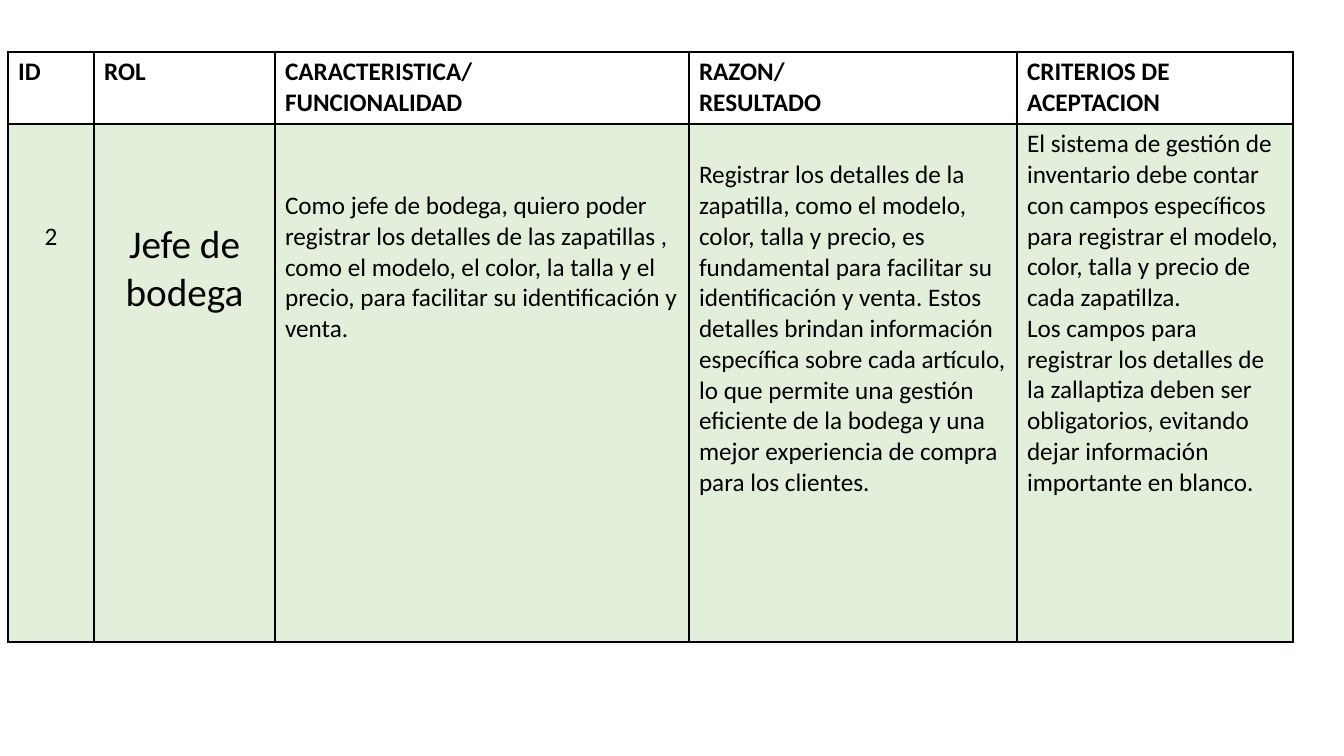
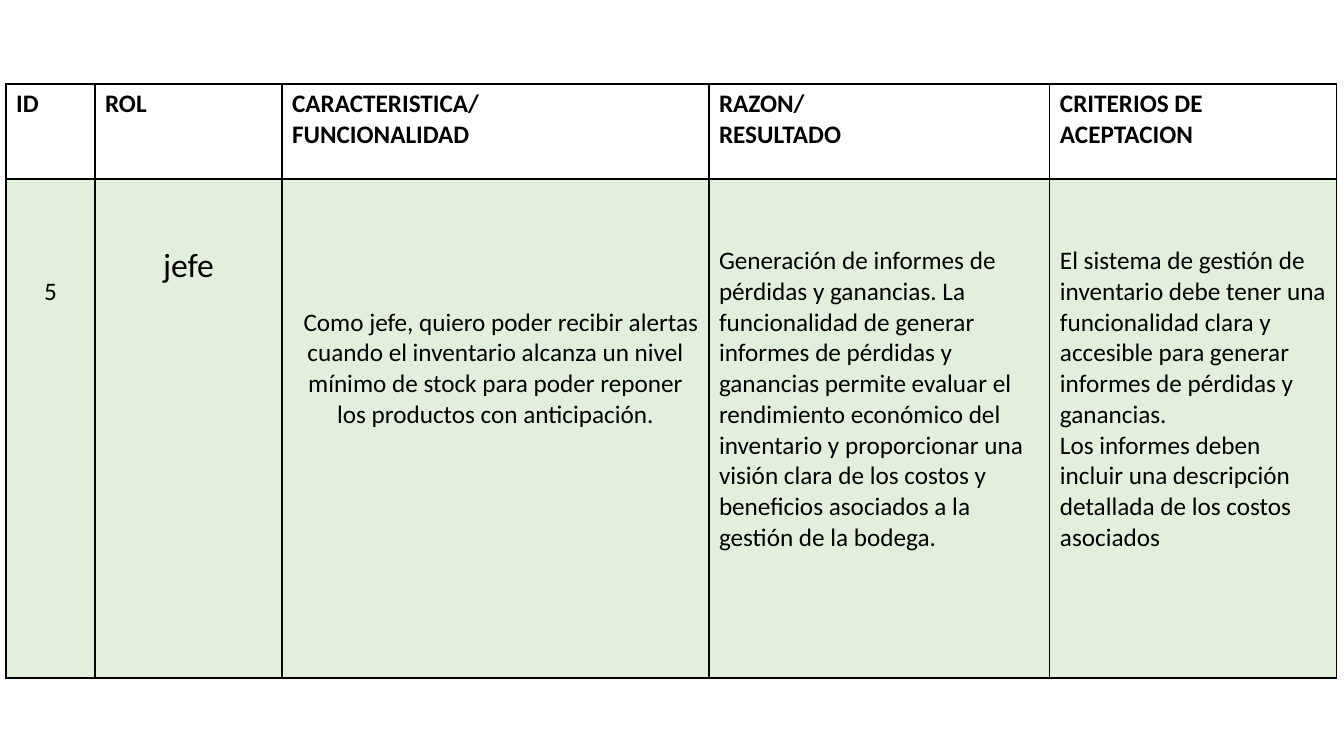
from lxml import etree
from pptx import Presentation
from pptx import util as u
from pptx.dml.color import RGBColor
from pptx.enum import text
from pptx.oxml import ns

PX = 914400 / 100.8
BLACK = RGBColor(0x00, 0x00, 0x00)
PALE_GREEN = RGBColor(0xE2, 0xEF, 0xDA)
FONT = "Calibri"
BODY_SIZE = 18
LINE_HEIGHT = 30.8
CELL_TOP = 5
LEFT, CENTER = text.PP_ALIGN.LEFT, text.PP_ALIGN.CENTER

HEADERS = [
    ["ID"],
    ["ROL"],
    ["CARACTERISTICA/", "FUNCIONALIDAD"],
    ["RAZON/", "RESULTADO"],
    ["CRITERIOS DE ACEPTACION"],
]

STORIES = [
    {
        "origin": (8, 52),
        "columns": [86, 181, 414, 328, 276],
        "rows": [72, 518],
        "cells": [
            {"lines": ["2"], "skip": 3, "align": CENTER},
            {"lines": ["Jefe de bodega"], "skip": 3, "align": CENTER, "size": 28},
            {"lines": ["Como jefe de bodega, quiero poder registrar los detalles de las zapatillas , "
                       "como el modelo, el color, la talla y el precio, para facilitar su "
                       "identificación y venta."], "skip": 2},
            {"lines": ["Registrar los detalles de la zapatilla, como el modelo, color, talla y precio, "
                       "es fundamental para facilitar su identificación y venta. Estos detalles "
                       "brindan información específica sobre cada artículo, lo que permite una "
                       "gestión eficiente de la bodega y una mejor experiencia de compra para los "
                       "clientes."], "skip": 1},
            {"lines": ["El sistema de gestión de inventario debe contar con campos específicos para "
                       "registrar el modelo, color, talla y precio de cada zapatillza.",
                       "Los campos para registrar los detalles de la zallaptiza deben ser "
                       "obligatorios, evitando dejar información importante en blanco."]},
        ],
    },
    {
        "origin": (6, 84),
        "columns": [89, 187, 427, 341, 287],
        "rows": [95, 499],
        "cells": [
            {"lines": ["5"], "skip": 3, "align": CENTER},
            {"lines": ["jefe"], "skip": 2, "align": CENTER, "size": 24},
            {"lines": ["Como jefe, quiero poder recibir alertas cuando el inventario alcanza un nivel "
                       "mínimo de stock para poder reponer los productos con anticipación."],
             "skip": 4, "align": CENTER, "indent": 11},
            {"lines": ["Generación de informes de pérdidas y ganancias. La funcionalidad de "
                       "generar informes de pérdidas y ganancias permite evaluar el "
                       "rendimiento económico del inventario y proporcionar una visión clara de "
                       "los costos y beneficios asociados a la gestión de la bodega."], "skip": 2},
            {"lines": ["El sistema de gestión de inventario debe tener una funcionalidad clara y "
                       "accesible para generar informes de pérdidas y ganancias.",
                       "Los informes deben incluir una descripción detallada de los costos "
                       "asociados"], "skip": 2},
        ],
    },
]


def px(n):
    return u.Emu(round(n * PX))


def add_borders(cell):
    tc_pr = cell._tc.get_or_add_tcPr()
    for i, side in enumerate(("lnL", "lnR", "lnT", "lnB")):
        ln = etree.Element(ns.qn("a:" + side), w=str(u.Pt(1)))
        fill = etree.SubElement(ln, ns.qn("a:solidFill"))
        etree.SubElement(fill, ns.qn("a:srgbClr"), val=str(BLACK))
        tc_pr.insert(i, ln)


def fill_cell(cell, lines, skip=0, align=LEFT, size=BODY_SIZE, indent=0, bold=False):
    cell.margin_top = px(CELL_TOP + skip * LINE_HEIGHT)
    tf = cell.text_frame
    for i, line in enumerate(lines):
        p = tf.add_paragraph() if i else tf.paragraphs[0]
        p.text = line
        p.alignment = align
        if indent:
            p._p.get_or_add_pPr().set("indent", str(px(indent)))
        p.font.name = FONT
        p.font.size = u.Pt(size)
        p.font.bold = bold
        p.font.color.rgb = BLACK


def add_story(prs, story):
    s = prs.slides.add_slide(prs.slide_layouts[6])
    columns, rows = story["columns"], story["rows"]
    x, y = story["origin"]
    table = s.shapes.add_table(len(rows), len(columns), px(x), px(y),
                               px(sum(columns)), px(sum(rows))).table
    table.first_row = table.horz_banding = False
    for row, height in zip(table.rows, rows):
        row.height = px(height)
    for i, width in enumerate(columns):
        table.columns[i].width = px(width)
        header, body = table.cell(0, i), table.cell(1, i)
        header.fill.background()
        fill_cell(header, HEADERS[i], bold=True)
        body.fill.solid()
        body.fill.fore_color.rgb = PALE_GREEN
        fill_cell(body, **story["cells"][i])
        add_borders(header)
        add_borders(body)


def main():
    prs = Presentation()
    prs.slide_width, prs.slide_height = px(1344), px(756)
    for story in STORIES:
        add_story(prs, story)
    prs.save("out.pptx")


if __name__ == "__main__":
    main()
